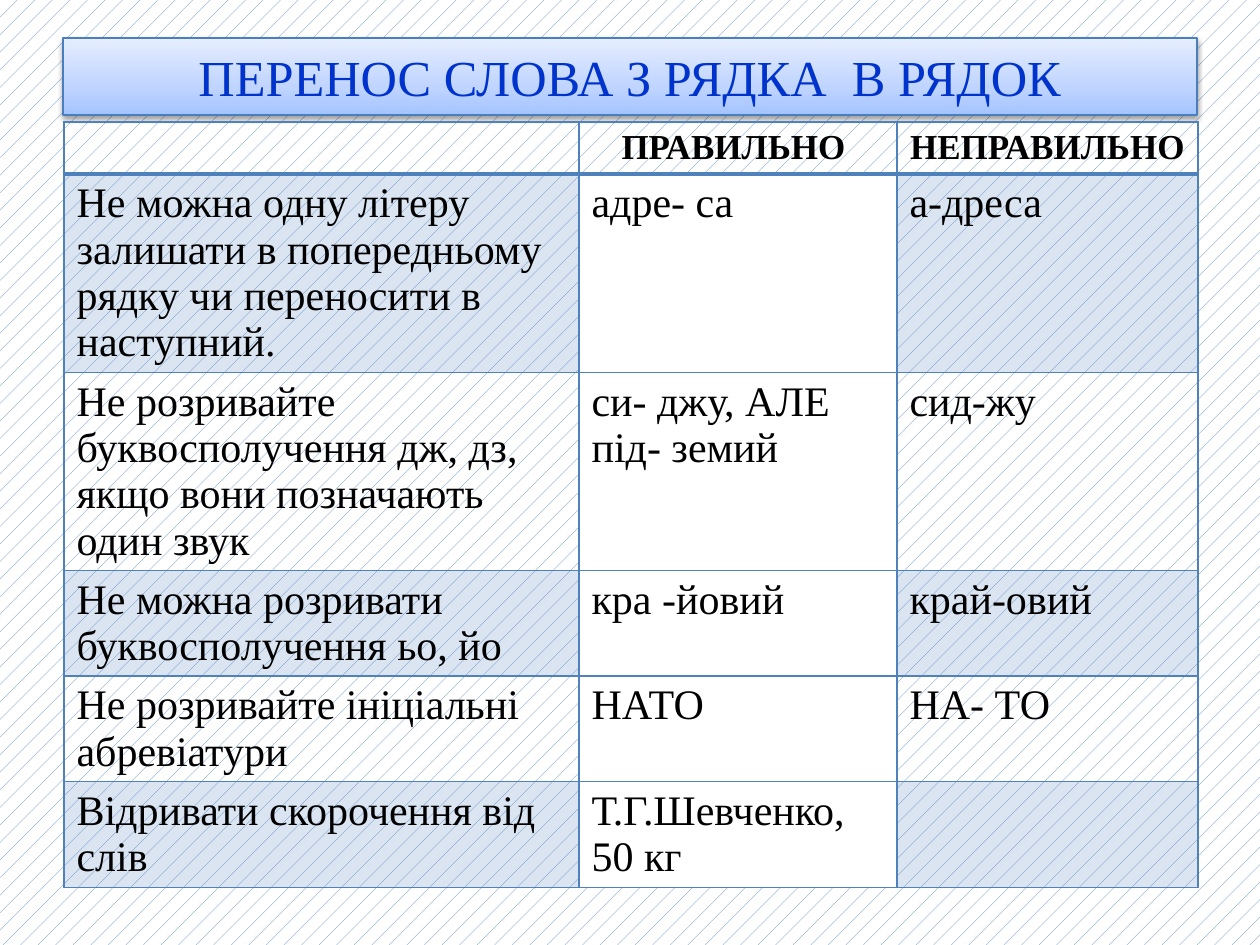
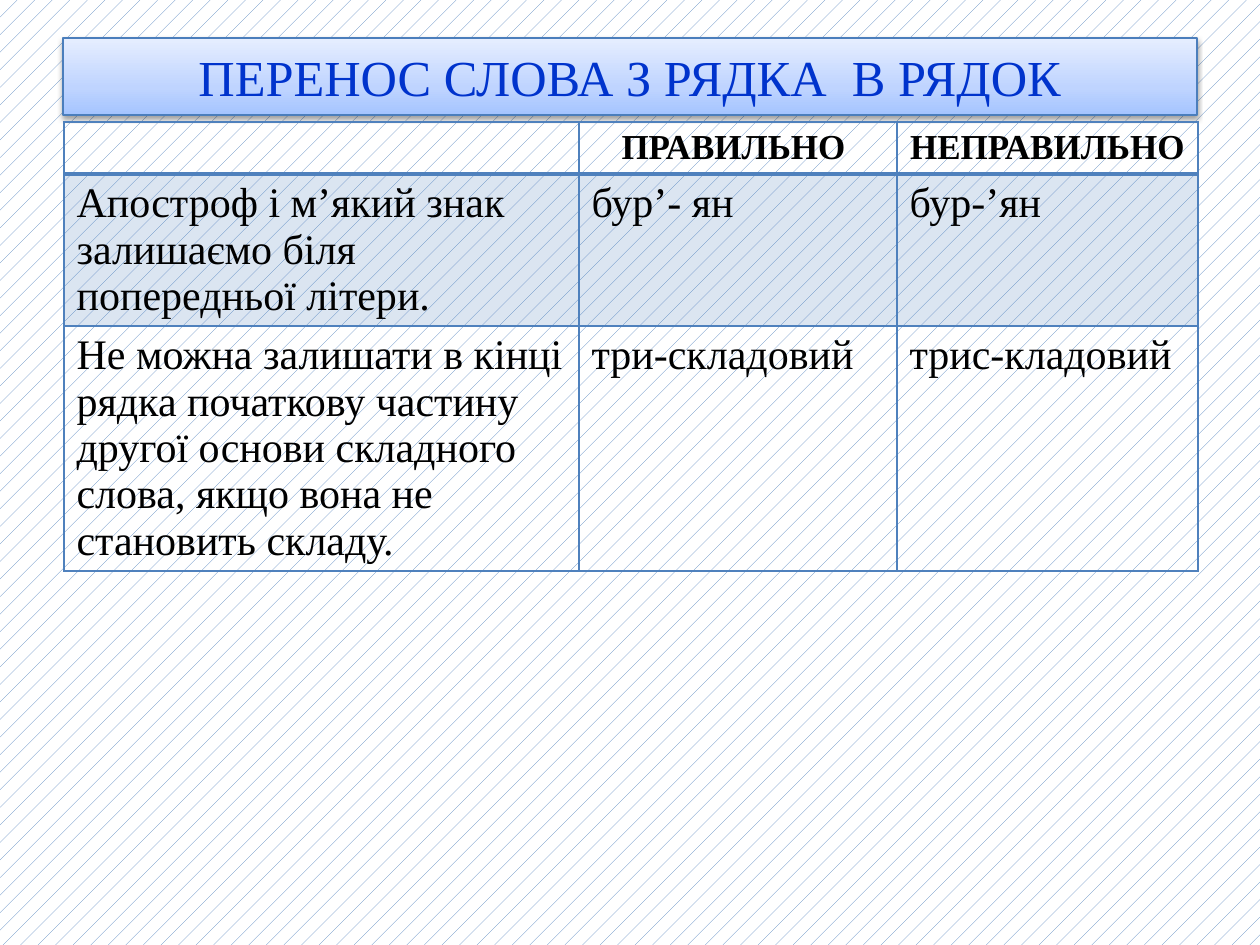
import dataclasses

import lxml.etree
import pptx
import pptx.dml.color
import pptx.enum.dml
import pptx.enum.shapes
import pptx.enum.text
import pptx.oxml.ns
import pptx.slide
import pptx.table
import pptx.text.text
import pptx.util

RGBColor = pptx.dml.color.RGBColor
ACCENT = RGBColor(0x4F, 0x81, 0xBD)
TITLE_LINE = RGBColor(0x4B, 0x7E, 0xBC)
TITLE_TEXT = RGBColor(0x00, 0x33, 0xCC)
BLACK = RGBColor(0x00, 0x00, 0x00)
WHITE = RGBColor(0xFF, 0xFF, 0xFF)
TITLE_GRADIENT = (
    (0, RGBColor(0xA4, 0xC4, 0xFF)),
    (35, RGBColor(0xBF, 0xD4, 0xFF)),
    (100, RGBColor(0xE6, 0xEE, 0xFF)),
)

FONT_NAME = "Times New Roman"
PIXELS_PER_INCH = 126
TITLE = "ПЕРЕНОС СЛОВА З РЯДКА  В РЯДОК"
HEADER = ("", "ПРАВИЛЬНО ", "НЕПРАВИЛЬНО ")
HEADER_HEIGHT = 52
COLUMN_WIDTHS = (515, 318, 301)
CENTER = pptx.enum.text.PP_ALIGN.CENTER
LEFT = pptx.enum.text.PP_ALIGN.LEFT


@dataclasses.dataclass(frozen=True)
class Rule:
    height: int
    text: str
    correct: str
    incorrect: str


@dataclasses.dataclass(frozen=True)
class RuleSlide:
    rules: tuple[Rule, ...]
    white_correct_column: bool


RULE_SLIDES = (
    RuleSlide(
        (
            Rule(198, "Не можна одну літеру залишати в попередньому рядку чи переносити в наступний.",
                 "адре- са", "а-дреса"),
            Rule(198, "Не розривайте буквосполучення дж, дз, якщо вони позначають один звук",
                 "си- джу, АЛЕ під- земий", "сид-жу"),
            Rule(105, "Не можна розривати буквосполучення ьо, йо", "кра -йовий", "край-овий"),
            Rule(105, "Не розривайте ініціальні абревіатури", "НАТО", "НА- ТО"),
            Rule(105, "Відривати скорочення від слів", "Т.Г.Шевченко, 50 кг", ""),
        ),
        white_correct_column=True,
    ),
    RuleSlide(
        (
            Rule(151, "Апостроф і м’який знак залишаємо біля попередньої літери.",
                 "бур’- ян", "бур-’ян"),
            Rule(245, "Не можна залишати в кінці рядка початкову частину другої основи складного слова, "
                 "якщо вона не становить складу.", "три-складовий", "трис-кладовий"),
        ),
        white_correct_column=False,
    ),
)


def px(length: int) -> pptx.util.Emu:
    return pptx.util.Emu(round(length * 914400 / PIXELS_PER_INCH))


def add_element(parent, tag: str, **attributes: object):
    values = {name: str(value) for name, value in attributes.items()}
    return lxml.etree.SubElement(parent, pptx.oxml.ns.qn(tag), values)


def write_text(
    paragraph: pptx.text.text._Paragraph,
    text: str,
    size: float,
    color: RGBColor,
    alignment: pptx.enum.text.PP_ALIGN,
    bold: bool = False,
) -> None:
    paragraph.text = text
    paragraph.alignment = alignment
    font = paragraph.font
    font.name = FONT_NAME
    font.size = pptx.util.Pt(size)
    font.bold = bold
    font.color.rgb = color


def paint_background(slide: pptx.slide.Slide) -> None:
    fill = slide.background.fill
    fill.patterned()
    fill.pattern = pptx.enum.dml.MSO_PATTERN.PERCENT_5
    fill.fore_color.rgb = ACCENT
    fill.back_color.rgb = WHITE


def add_title(slide: pptx.slide.Slide) -> None:
    shape = slide.shapes.add_shape(
        pptx.enum.shapes.MSO_SHAPE.RECTANGLE, px(63), px(38), px(1134), px(77)
    )
    shape.fill.gradient()
    shape.fill.gradient_angle = 90
    properties = shape._element.spPr
    stops = properties.find(".//" + pptx.oxml.ns.qn("a:gsLst"))
    for stop in list(stops):
        stops.remove(stop)
    for position, color in TITLE_GRADIENT:
        stop = add_element(stops, "a:gs", pos=position * 1000)
        add_element(stop, "a:srgbClr", val=color)
    shape.line.color.rgb = TITLE_LINE
    shape.line.width = pptx.util.Pt(0.75)
    shape.shadow.inherit = False
    shadow = add_element(
        properties.find(pptx.oxml.ns.qn("a:effectLst")), "a:outerShdw",
        blurRad=pptx.util.Pt(3.1), dist=pptx.util.Pt(1.6), dir=5400000, rotWithShape=0,
    )
    shadow_color = add_element(shadow, "a:srgbClr", val=BLACK)
    add_element(shadow_color, "a:alpha", val=38000)
    text_frame = shape.text_frame
    text_frame.word_wrap = True
    text_frame.vertical_anchor = pptx.enum.text.MSO_ANCHOR.MIDDLE
    write_text(text_frame.paragraphs[0], TITLE, 28.8, TITLE_TEXT, CENTER)


def set_borders(cell: pptx.table._Cell, top: int, bottom: int) -> None:
    properties = cell._tc.get_or_add_tcPr()
    widths = {"a:lnL": 1, "a:lnR": 1, "a:lnT": top, "a:lnB": bottom}
    for index, (tag, width) in enumerate(widths.items()):
        line = add_element(properties, tag, w=pptx.util.Pt(width))
        add_element(add_element(line, "a:solidFill"), "a:srgbClr", val=ACCENT)
        properties.insert(index, line)


def fill_cell(cell: pptx.table._Cell, white: bool, banded: bool) -> None:
    if not white and not banded:
        cell.fill.background()
        return
    cell.fill.solid()
    cell.fill.fore_color.rgb = WHITE if white else ACCENT
    if not white:
        color = cell._tc.tcPr.find(".//" + pptx.oxml.ns.qn("a:srgbClr"))
        add_element(color, "a:alpha", val=20000)


def add_rules_table(slide: pptx.slide.Slide, content: RuleSlide) -> None:
    heights = [HEADER_HEIGHT] + [rule.height for rule in content.rules]
    rows = [HEADER] + [(rule.text, rule.correct, rule.incorrect) for rule in content.rules]
    table = slide.shapes.add_table(
        len(rows), len(HEADER), px(64), px(122), px(sum(COLUMN_WIDTHS)), px(sum(heights))
    ).table
    table.horz_banding = False
    table.first_row = False
    for column, width in zip(table.columns, COLUMN_WIDTHS):
        column.width = px(width)
    for row_index, (texts, height) in enumerate(zip(rows, heights)):
        table.rows[row_index].height = px(height)
        is_header = row_index == 0
        for column_index, text in enumerate(texts):
            cell = table.cell(row_index, column_index)
            white = content.white_correct_column and column_index == 1 and not is_header
            fill_cell(cell, white, banded=row_index % 2 == 1)
            set_borders(cell, top=2 if row_index == 1 else 1, bottom=2 if is_header else 1)
            if text:
                write_text(
                    cell.text_frame.paragraphs[0], text, 20 if is_header else 24, BLACK,
                    CENTER if is_header else LEFT, bold=is_header,
                )


def main() -> None:
    presentation = pptx.Presentation()
    presentation.slide_width = px(1260)
    presentation.slide_height = px(945)
    for content in RULE_SLIDES:
        slide = presentation.slides.add_slide(presentation.slide_layouts[6])
        paint_background(slide)
        add_title(slide)
        add_rules_table(slide, content)
    presentation.save("out.pptx")


if __name__ == "__main__":
    main()
